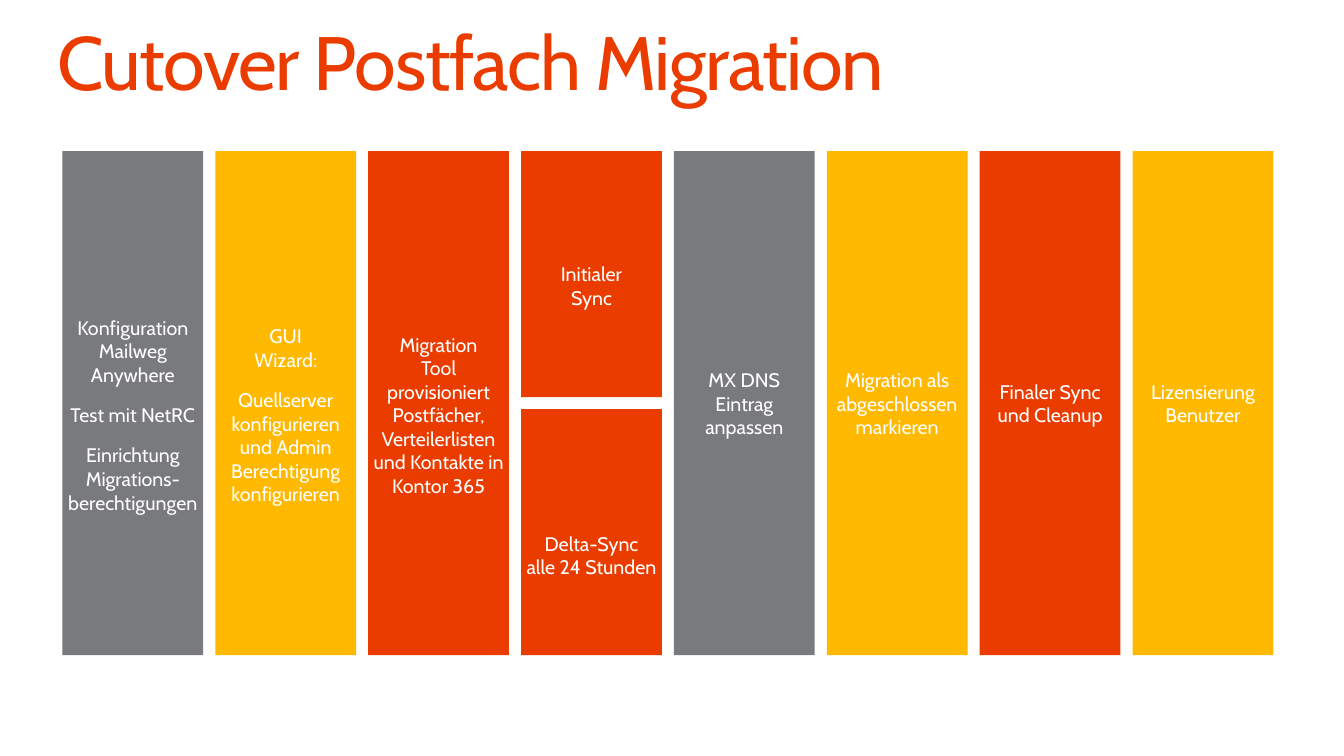
from pptx import Presentation
from pptx.dml.color import RGBColor
from pptx.enum.shapes import MSO_SHAPE as Shape
from pptx.enum.text import MSO_ANCHOR as Anchor, PP_ALIGN as Align
from pptx.util import Inches, Pt

ORANGE = RGBColor(0xEB, 0x3C, 0x00)
YELLOW = RGBColor(0xFF, 0xB9, 0x00)
GRAY = RGBColor(0x79, 0x7A, 0x7D)
WHITE = RGBColor(0xFF, 0xFF, 0xFF)


class Board:
    """Text style, grid and current slide."""
    font = "Cabin"
    columns, rows = 8, 2
    left, top, width, height = 0.62, 1.5, 12.01, 5
    gap = 0.12
    line = 0.23

    def __init__(self, deck):
        self.page = deck.slides.add_slide(deck.slide_layouts[6])
        self.cell_width = (self.width - (self.columns - 1) * self.gap) / self.columns
        self.cell_height = (self.height - (self.rows - 1) * self.gap) / self.rows

    def style(self, para, size, color):
        for span in para.runs:
            span.font.name = self.font
            span.font.size = Pt(size)
            span.font.color.rgb = color

    def title(self, text):
        box = self.page.shapes.add_textbox(
            Inches(0.57), Inches(0.25), Inches(12.19), Inches(0.82))
        frame = box.text_frame
        frame.word_wrap = True
        frame.margin_left = frame.margin_right = 0
        frame.margin_top = frame.margin_bottom = 0
        frame.text = text
        para = frame.paragraphs[0]
        para.line_spacing = 0.9
        self.style(para, 54, ORANGE)
        para.runs[0]._r.get_or_add_rPr().set("spc", "-100")

    def step(self, column, row, span_rows, color, text, lowered=0, spaced=()):
        """Add a step; lowered is in text lines, spaced lists paragraphs with a gap below."""
        box = self.page.shapes.add_shape(
            Shape.RECTANGLE,
            Inches(self.left + column * (self.cell_width + self.gap)),
            Inches(self.top + row * (self.cell_height + self.gap)),
            Inches(self.cell_width),
            Inches(span_rows * (self.cell_height + self.gap) - self.gap))
        box.shadow.inherit = False
        box.fill.solid()
        box.fill.fore_color.rgb = color
        box.line.fill.background()
        frame = box.text_frame
        frame.word_wrap = True
        frame.vertical_anchor = Anchor.MIDDLE
        frame.margin_left = frame.margin_right = 0
        frame.margin_top = Inches(0.05 + lowered * self.line)
        frame.margin_bottom = Inches(0.05)
        frame.text = text
        for index, para in enumerate(frame.paragraphs):
            para.alignment = Align.CENTER
            if index in spaced:
                para.space_after = Pt(12)
            self.style(para, 14, WHITE)


# Column, row, rows spanned, colour, text, lines lowered, spaced paragraphs
STEPS = [
    (0, 0, 2, GRAY, "Konfiguration Mailweg Anywhere\nTest mit NetRC\n"
     "Einrichtung Migrations-berechtigungen", 1, (0, 1)),
    (1, 0, 2, YELLOW, "GUI\nWizard:\nQuellserver konfigurieren und Admin "
     "Berechtigung konfigurieren", 1, (1,)),
    (2, 0, 2, ORANGE, "Migration\nTool\nprovisioniert Postfächer, "
     "Verteilerlisten und Kontakte in Kontor 365", 1),
    (3, 0, 1, ORANGE, "Initialer\vSync", 1),
    (3, 1, 1, ORANGE, "Delta-Sync\valle 24 Stunden", 2),
    (4, 0, 2, GRAY, "MX DNS\vEintrag\vanpassen"),
    (5, 0, 2, YELLOW, "Migration als abgeschlossen markieren"),
    (6, 0, 2, ORANGE, "Finaler Sync\vund Cleanup"),
    (7, 0, 2, YELLOW, "Lizensierung Benutzer"),
]


def main():
    deck = Presentation()
    deck.slide_width, deck.slide_height = Inches(13.33), Inches(7.5)
    board = Board(deck)
    board.title("Cutover Postfach Migration")
    for step in STEPS:
        board.step(*step)
    deck.save("out.pptx")


if __name__ == "__main__":
    main()
